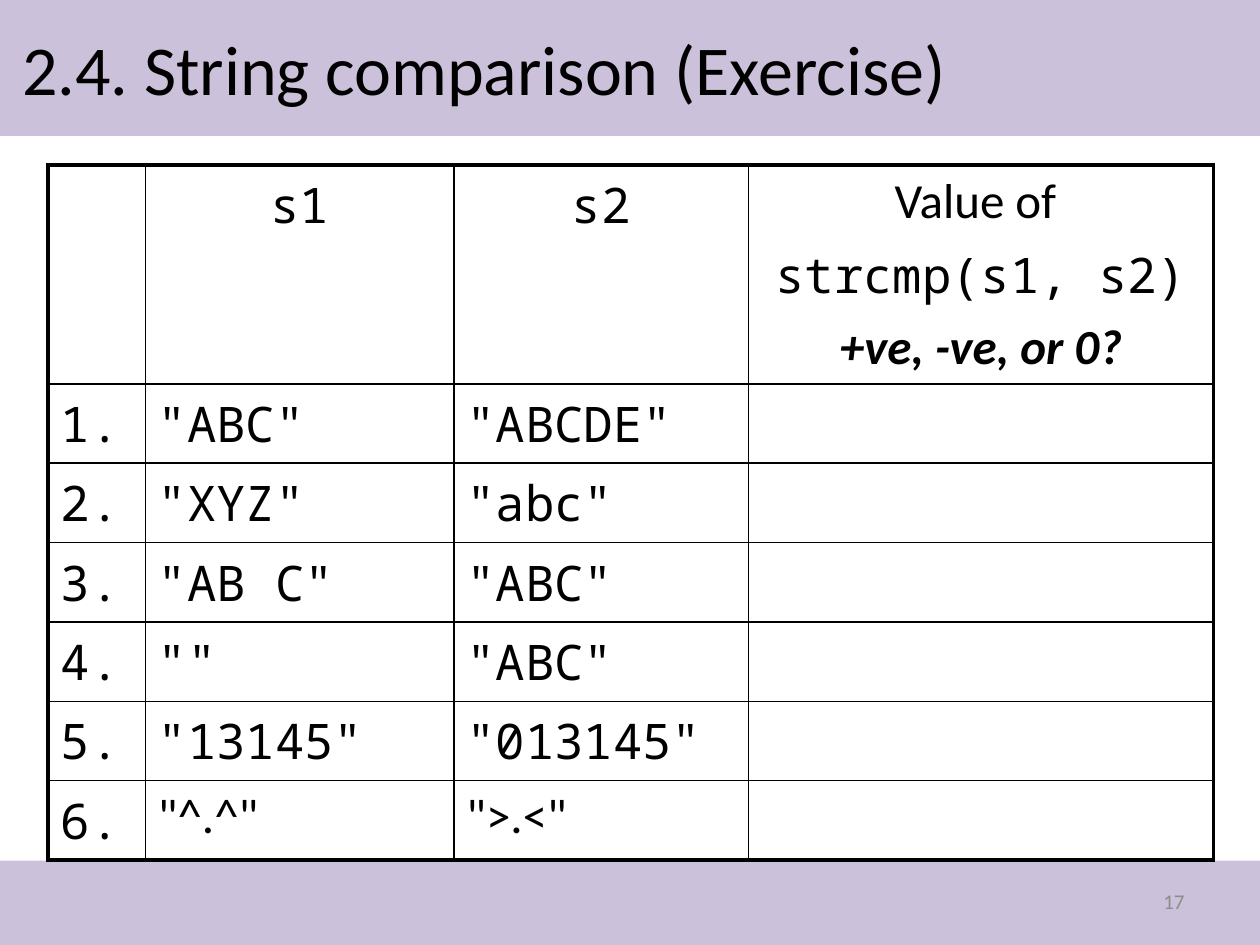
import pptx
import pptx.util
import pptx.dml.color
import pptx.enum.shapes
import pptx.enum.text
import pptx.oxml.ns
import lxml.etree

Cm = pptx.util.Cm
Pt = pptx.util.Pt
Align = pptx.enum.text.PP_ALIGN
Anchor = pptx.enum.text.MSO_ANCHOR

COLOURS = {"band": "CCC1DA", "ink": "000000", "paper": "FFFFFF", "number": "8C8C8C"}
SANS, MONO = "Calibri", "Noto Sans Mono"

TITLE = "2.4. String comparison (Exercise)"
PAGE_NUMBER = "17"
HEADER = [
    [],
    [("s1", {"font": MONO})],
    [("s2", {"font": MONO})],
    [
        ("Value of ", {}),
        ("strcmp(s1, s2)", {"font": MONO}),
        ("+ve, -ve, or 0?", {"bold": True, "italic": True}),
    ],
]
EXERCISES = [
    ('"ABC"', '"ABCDE"', MONO),
    ('"XYZ"', '"abc"', MONO),
    ('"AB C"', '"ABC"', MONO),
    ('""', '"ABC"', MONO),
    ('"13145"', '"013145"', MONO),
    ('"^.^"', '">.<"', SANS),
]

PAGE_WIDTH, PAGE_HEIGHT = 25.4, 19.05
BANDS = [(0, 2.74), (17.35, 1.7)]
TABLE_LEFT, TABLE_TOP = 0.97, 3.33
COLUMN_WIDTHS = [1.96, 6.22, 5.94, 9.37]
HEADER_HEIGHT, ROW_HEIGHT = 4.39, 1.6
INNER_LINE, OUTER_LINE = 1, 2.25


def colour(name):
    return pptx.dml.color.RGBColor.from_string(COLOURS[name])


def write(frame, text, font=SANS, size=28, ink="ink", bold=False, italic=False,
          align=Align.LEFT, before=5.6):
    first = not frame.text
    para = frame.paragraphs[0] if first else frame.add_paragraph()
    para.alignment = align
    para.space_before = Pt(0 if first else before)
    span = para.add_run()
    span.text = text
    span.font.name = font
    span.font.size = Pt(size)
    span.font.bold = bold
    span.font.italic = italic
    span.font.color.rgb = colour(ink)


def add_text_box(page, left, top, width, height, text, **style):
    box = page.shapes.add_textbox(Cm(left), Cm(top), Cm(width), Cm(height))
    box.text_frame.word_wrap = True
    box.text_frame.vertical_anchor = Anchor.MIDDLE
    write(box.text_frame, text, **style)


def add_band(page, top, height):
    band = page.shapes.add_shape(pptx.enum.shapes.MSO_SHAPE.RECTANGLE,
                                 0, Cm(top), Cm(PAGE_WIDTH), Cm(height))
    band.shadow.inherit = False
    band.fill.solid()
    band.fill.fore_color.rgb = colour("band")
    band.line.fill.background()


def draw_borders(cell, outer_sides):
    properties = cell._tc.get_or_add_tcPr()
    qn = pptx.oxml.ns.qn
    for side, outer in zip("LRTB", outer_sides):
        width = Pt(OUTER_LINE if outer else INNER_LINE)
        line = lxml.etree.SubElement(properties, qn(f"a:ln{side}"), w=str(width))
        fill = lxml.etree.SubElement(line, qn("a:solidFill"))
        lxml.etree.SubElement(fill, qn("a:srgbClr"), val=COLOURS["ink"])


def add_exercise_table(page):
    rows = [HEADER] + [
        [[(f"{number}.", {"font": MONO})], [(s1, {"font": font})], [(s2, {"font": font})], []]
        for number, (s1, s2, font) in enumerate(EXERCISES, 1)
    ]
    heights = [HEADER_HEIGHT] + [ROW_HEIGHT] * len(EXERCISES)
    table = page.shapes.add_table(
        len(rows), len(COLUMN_WIDTHS), Cm(TABLE_LEFT), Cm(TABLE_TOP),
        Cm(sum(COLUMN_WIDTHS)), Cm(sum(heights))).table
    for column, width in zip(table.columns, COLUMN_WIDTHS):
        column.width = Cm(width)
    last_row, last_column = len(rows) - 1, len(COLUMN_WIDTHS) - 1
    for r, row in enumerate(rows):
        table.rows[r].height = Cm(heights[r])
        for c, lines in enumerate(row):
            cell = table.cell(r, c)
            draw_borders(cell, (c == 0, c == last_column, r == 0, r == last_row))
            cell.fill.solid()
            cell.fill.fore_color.rgb = colour("paper")
            for text, style in lines:
                write(cell.text_frame, text,
                      align=Align.CENTER if r == 0 else Align.LEFT, **style)


def main():
    deck = pptx.Presentation()
    deck.slide_width, deck.slide_height = Cm(PAGE_WIDTH), Cm(PAGE_HEIGHT)
    page = deck.slides.add_slide(deck.slide_layouts[6])
    for top, height in BANDS:
        add_band(page, top, height)
    add_exercise_table(page)
    add_text_box(page, 0.2, 0.2, 25, 2.34, TITLE, size=40)
    add_text_box(page, 18.21, 17.65, 5.92, 1.02, PAGE_NUMBER,
                 size=12, ink="number", align=Align.RIGHT)
    deck.save("out.pptx")


if __name__ == "__main__":
    main()
